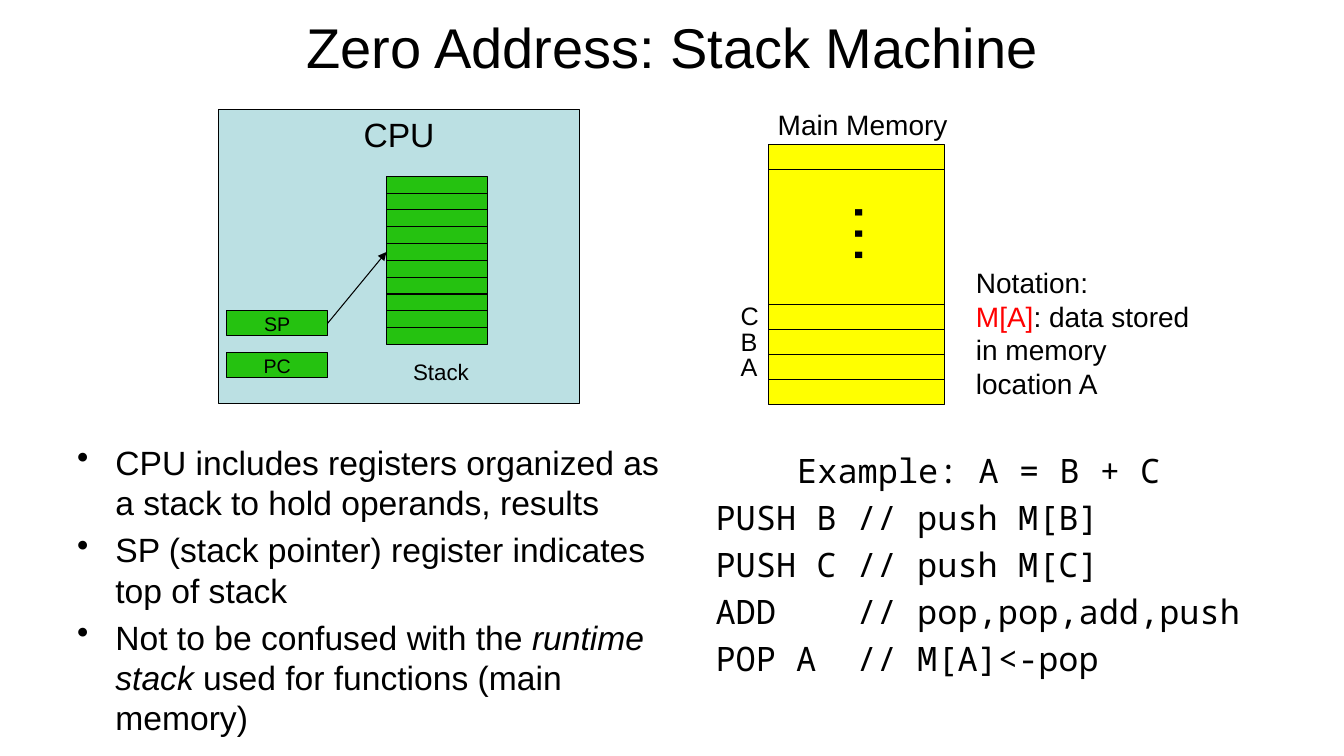
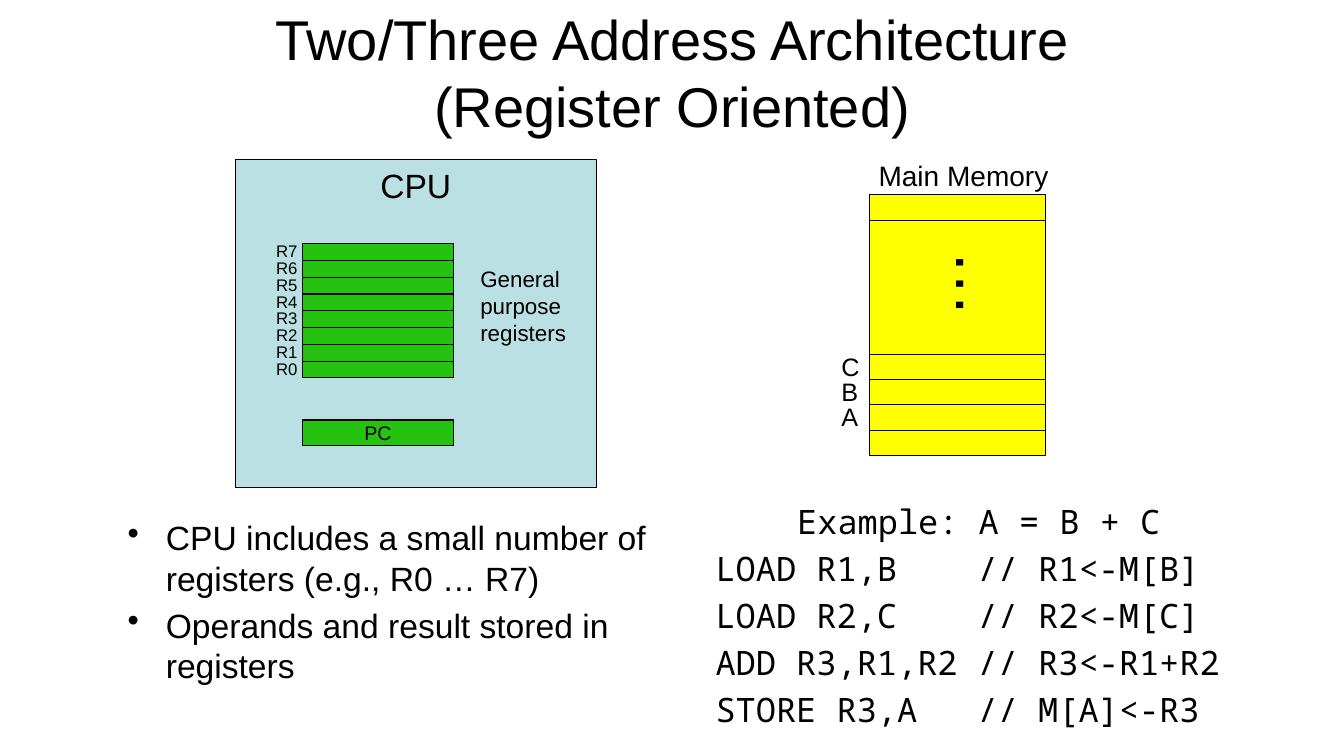
"""Two slides comparing a stack machine with a register machine."""
from lxml.etree import SubElement
from pptx import Presentation
from pptx.dml.color import RGBColor
from pptx.enum.shapes import MSO_CONNECTOR, MSO_SHAPE
from pptx.enum.text import MSO_ANCHOR as ANCHOR, MSO_AUTO_SIZE as FIT, PP_ALIGN as ALIGN
from pptx.oxml.ns import qn
from pptx.util import Inches, Pt

colour = RGBColor.from_string
BLACK, RED, CPU_BLUE, CELL_GREEN, MEMORY_YELLOW = "000000", "FF0000", "BBE0E3", "25C210", "FFFF00"
SANS, MONO = "Arial", "Noto Sans Mono"
COLUMNS, ROWS = 160, 90

deck = Presentation()
deck.slide_width, deck.slide_height = Inches(13.33), Inches(7.5)
column, row = deck.slide_width / COLUMNS, deck.slide_height / ROWS


def write(frame, lines, size, font=SANS, align=ALIGN.LEFT, anchor=ANCHOR.TOP,
          wrap=True, spacing=None, bullets=False, tab=None):
    """Fill a frame with lines, each a list of (text, colour, italic) runs."""
    frame.word_wrap = wrap
    frame.auto_size = FIT.NONE if wrap else FIT.SHAPE_TO_FIT_TEXT
    frame.vertical_anchor = anchor
    for number, runs in enumerate(lines):
        paragraph = frame.add_paragraph() if number else frame.paragraphs[0]
        paragraph.alignment = align
        paragraph.line_spacing = spacing
        properties = paragraph._p.get_or_add_pPr()
        if bullets or tab:
            paragraph.space_before = Pt(size * 0.2)
        if bullets:
            properties.set("marL", str(Inches(0.38)))
            properties.set("indent", str(-Inches(0.38)))
            SubElement(properties, qn("a:buChar"), char="•")
        if tab:
            stops = SubElement(properties, qn("a:tabLst"))
            SubElement(stops, qn("a:tab"), pos=str(Inches(tab)), algn="l")
        for text, ink, italic in runs:
            run = paragraph.add_run()
            run.text = text
            run.font.name, run.font.size, run.font.italic = font, Pt(size), italic
            run.font.color.rgb = colour(ink)


def place(slide, box, text="", size=24, fill=None, **style):
    """Put a text box, or a filled and outlined block, on the grid."""
    left, top, width, height = box
    area = [round(n) for n in (left * column, top * row, width * column, height * row)]
    if fill:
        shape = slide.shapes.add_shape(MSO_SHAPE.RECTANGLE, *area)
        shape.shadow.inherit = False
        shape.fill.solid()
        shape.fill.fore_color.rgb = colour(fill)
        shape.line.color.rgb = colour(BLACK)
        shape.line.width = Pt(0.75)
    else:
        shape = slide.shapes.add_textbox(*area)
    lines = [[(text, BLACK, False)]] if isinstance(text, str) else text
    if text:
        write(shape.text_frame, lines, size, **style)
    return shape


machines = [
    dict(
        title=["Zero Address: Stack Machine"], title_box=(29, 0, 102, 11),
        cpu=(26, 13, 43, 35), cells=(46, 21, 12, 20), memory=(91.5, 17.2),
        registers=[("SP", (27, 37, 12, 3)), ("PC", (27, 42, 12, 3))],
        cell_names=[], pointer=[(39, 38.5, 46, 30, True)],
        captions=[
            ("Stack", (48, 42, 11, 4.4), 16),
            ([[("Notation:", BLACK, False)],
              [("M[A]", RED, False), (": data stored in memory location A", BLACK, False)]],
             (115, 31, 30, 17.4), 20),
        ],
        points_box=(8, 52, 72, 38),
        points=[
            [("CPU includes registers organized as a stack to hold operands, results", BLACK, False)],
            [("SP (stack pointer) register indicates top of stack", BLACK, False)],
            [("Not to be confused with the ", BLACK, False), ("runtime stack ", BLACK, True),
             ("used for functions (main memory)", BLACK, False)],
        ],
        code_box=(84, 53, 65, 31), comment_at=1.4,
        code=["PUSH B\t// push M[B]", "PUSH C\t// push M[C]",
              "ADD\t// pop,pop,add,push", "POP A\t// M[A]<-pop"],
    ),
    dict(
        title=["Two/Three Address Architecture", "(Register Oriented)"], title_box=(29, 1, 102, 15),
        cpu=(28, 19, 43, 39), cells=(36, 29, 18, 16), memory=(103.5, 23.2),
        registers=[("PC", (36, 50, 18, 3))],
        cell_names=[f"R{n}" for n in range(7, -1, -1)], pointer=[],
        captions=[("General purpose registers", (56, 31, 14, 11), 16)],
        points_box=(14, 61, 66, 27),
        points=[
            [("CPU includes a small number of registers (e.g., R0 … R7)", BLACK, False)],
            [("Operands and result stored in registers", BLACK, False)],
        ],
        code_box=(84, 59, 65, 29), comment_at=2.6,
        code=["LOAD R1,B\t// R1<-M[B]", "LOAD R2,C\t// R2<-M[C]",
              "ADD R3,R1,R2\t// R3<-R1+R2", "STORE R3,A\t// M[A]<-R3"],
    ),
]

for machine in machines:
    slide = deck.slides.add_slide(deck.slide_layouts[5])

    title = slide.shapes.title
    left, top, width, height = machine["title_box"]
    title.left, title.top = round(left * column), round(top * row)
    title.width, title.height = round(width * column), round(height * row)
    write(title.text_frame, [[(line, BLACK, False)] for line in machine["title"]], 40,
          align=ALIGN.CENTER, anchor=ANCHOR.MIDDLE)
    for heading in title.text_frame.paragraphs:
        heading.space_before = Pt(0)

    place(slide, machine["points_box"], machine["points"], bullets=True)
    example = place(slide, machine["code_box"],
                    [[(line, BLACK, False)] for line in ["Example: A = B + C", *machine["code"]]],
                    font=MONO, tab=machine["comment_at"])
    example.text_frame.paragraphs[0].alignment = ALIGN.CENTER

    memory_left, memory_top = machine["memory"]
    place(slide, (memory_left - 0.2, memory_top - 4.2, 22.8, 4.4), "Main Memory", 20,
          align=ALIGN.CENTER, wrap=False, spacing=0.8)
    place(slide, (memory_left, memory_top, 21, 31), fill=MEMORY_YELLOW)
    gap = place(slide, (memory_left + 8.2, memory_top + 5.3, 10.6, 10.9), "…", 48, wrap=False)
    gap.rotation = 90
    for step, address in enumerate("CBA"):
        place(slide, (memory_left - 4.5, memory_top + 18 + 3 * step, 4.5, 4.8), address, 18, wrap=False)

    place(slide, machine["cpu"], "CPU", fill=CPU_BLUE, align=ALIGN.CENTER)
    cell_left, cell_top, cell_width, cells_height = machine["cells"]
    place(slide, machine["cells"], fill=CELL_GREEN)
    for step, name in enumerate(machine["cell_names"]):
        place(slide, (cell_left - 4.3, cell_top - 0.9 + 2 * step, 5, 3.6), name, 12, wrap=False)
    for name, box in machine["registers"]:
        place(slide, box, name, 14, fill=CELL_GREEN, align=ALIGN.CENTER, anchor=ANCHOR.MIDDLE)
    for caption, box, size in machine["captions"]:
        place(slide, box, caption, size)

    memory_rules = [(memory_left, memory_top + y, memory_left + 21, memory_top + y, False)
                    for y in (3, 19, 22, 25, 28)]
    cell_rules = [(cell_left, cell_top + y, cell_left + cell_width, cell_top + y, False)
                  for y in range(2, cells_height, 2)]
    for x1, y1, x2, y2, arrow in memory_rules + cell_rules + machine["pointer"]:
        rule = slide.shapes.add_connector(
            MSO_CONNECTOR.STRAIGHT, round(x1 * column), round(y1 * row),
            round(x2 * column), round(y2 * row))
        rule.line.color.rgb = colour(BLACK)
        rule.line.width = Pt(0.75)
        if arrow:
            SubElement(rule.line._get_or_add_ln(), qn("a:tailEnd"), type="triangle")
        SubElement(rule._element.spPr, qn("a:effectLst"))

deck.save("out.pptx")
